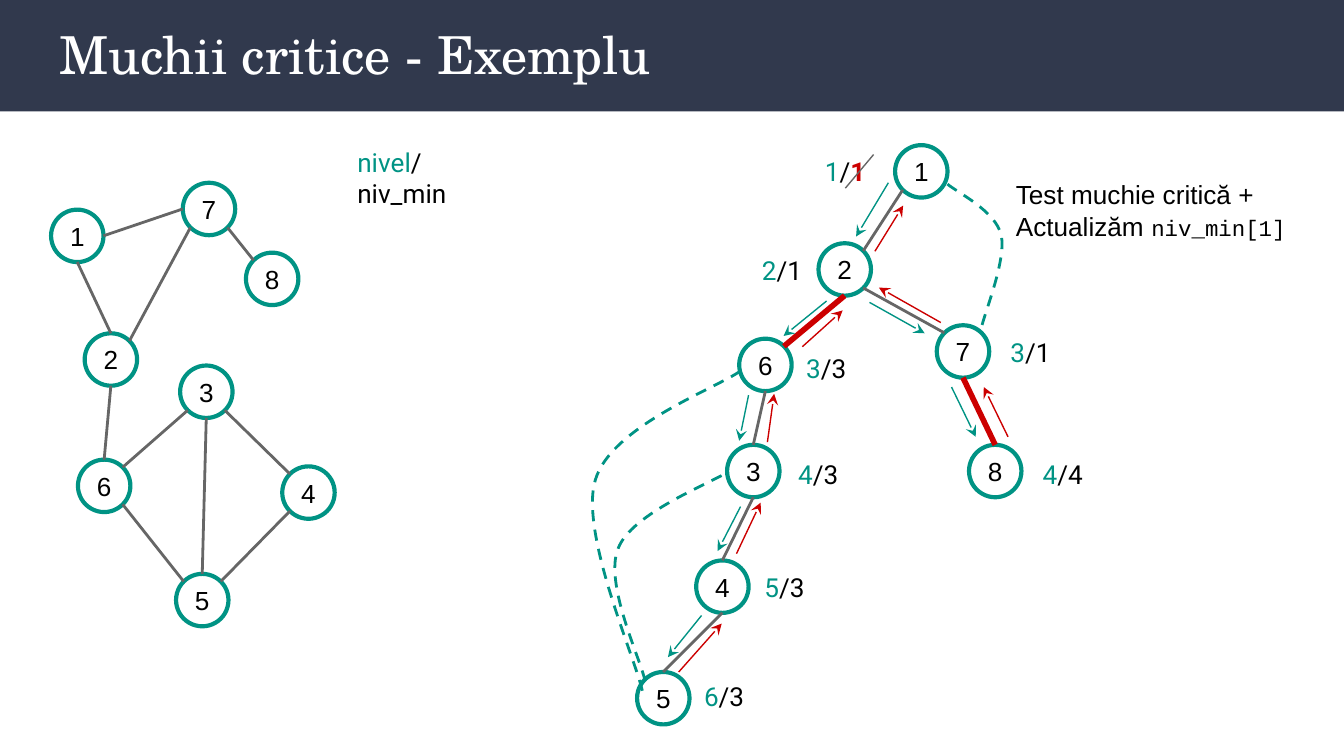
import math
from lxml import etree
from pptx import Presentation
from pptx import util as u
from pptx.dml.color import RGBColor
from pptx.enum import dml, shapes, text
from pptx.oxml.ns import qn

PX = 9144
NODE = 39
TOP, TOP_LEFT, LEFT, BOTTOM_LEFT, BOTTOM, BOTTOM_RIGHT, RIGHT, TOP_RIGHT = range(8)
COLORS = {"navy": "31394D", "teal": "009384", "gray": "666666",
          "red": "CC0000", "black": "000000", "white": "FFFFFF"}

GRAPH_NODES = {1: (0, 20), 2: (25, 112), 3: (96, 136), 4: (172, 211),
               5: (93, 291), 6: (20, 206), 7: (98, 0), 8: (145, 52)}
GRAPH_EDGES = [
    (1, BOTTOM, 2, TOP), (1, RIGHT, 7, LEFT), (3, BOTTOM_RIGHT, 4, TOP_LEFT),
    (2, BOTTOM, 6, TOP), (3, BOTTOM_LEFT, 6, TOP_RIGHT),
    (6, BOTTOM_RIGHT, 5, TOP_LEFT), (3, BOTTOM, 5, TOP),
    (4, BOTTOM_LEFT, 5, TOP_RIGHT), (7, BOTTOM_RIGHT, 8, TOP_LEFT),
    (7, BOTTOM_LEFT, 2, TOP_RIGHT)]

TREE_NODES = {1: (226, 8), 2: (169, 81), 6: (110, 152), 3: (101, 231),
              4: (78, 317), 5: (34, 400), 7: (257, 142), 8: (281, 231)}
TREE_EDGES = [
    (1, BOTTOM_LEFT, 2, TOP_RIGHT), (6, BOTTOM, 3, TOP), (3, BOTTOM, 4, TOP),
    (4, BOTTOM, 5, TOP), (2, BOTTOM_RIGHT, 7, TOP_LEFT)]
CRITICAL_EDGES = [(2, BOTTOM, 6, TOP_RIGHT), (7, BOTTOM, 8, TOP)]
LEVELS = [(117, 79, "2", "/1"), (150, 152, "3", "/3"), (144, 231, "4", "/3"),
          (119, 315, "5", "/3"), (74, 396, "6", "/3"), (302, 140, "3", "/1"),
          (326, 231, "4", "/4")]
DOWN_ARROWS = [(221, 36, 197, 76), (175, 124, 143, 150), (117, 194, 110, 228),
               (111, 277, 94, 310), (82, 358, 57, 389), (207, 125, 248, 148),
               (268, 188, 286, 225)]
UP_ARROWS = [(211, 87, 232, 53), (157, 158, 187, 131), (131, 229, 136, 193),
             (108, 312, 126, 274), (65, 400, 97, 364), (260, 140, 214, 114),
             (310, 225, 292, 188)]
BACK_EDGES = [
    [(40, 407), (37, 391), (9, 334), (20, 308), (30, 282), (88, 260), (102, 251)],
    [(38, 414), (32, 388), (-9, 296), (3, 257), (15, 217), (93, 189), (111, 176)],
    [(265, 37), (272, 43), (301, 57), (305, 75), (309, 94), (292, 134), (290, 145)]]


def rgb(name):
    """Return the named colour."""
    return RGBColor.from_string(COLORS[name])


def px(*lengths):
    """Turn px lengths into EMU."""
    return [round(length * PX) for length in lengths]


def add_run(paragraph, words, color="black", font="Roboto", size=14, bold=False):
    """Add one formatted run."""
    run = paragraph.add_run()
    run.text = words
    run.font.name, run.font.size, run.font.bold = font, u.Pt(size), bold
    run.font.color.rgb = rgb(color)


def set_margins(frame, margin):
    """Give a text frame the same margin on all sides."""
    frame.margin_left = frame.margin_right = frame.margin_top = frame.margin_bottom = margin * PX


def add_label(container, box, paragraphs):
    """Add a growing text box whose paragraphs are lists of run settings."""
    frame = container.add_textbox(*px(*box)).text_frame
    frame.word_wrap = True
    frame.auto_size = text.MSO_AUTO_SIZE.SHAPE_TO_FIT_TEXT
    set_margins(frame, 10)
    for index, runs in enumerate(paragraphs):
        paragraph = frame.add_paragraph() if index else frame.paragraphs[0]
        for settings in runs:
            add_run(paragraph, *settings)


def add_line(container, ends, color, width, arrow=False):
    """Add a straight line, with an arrowhead at its end if asked."""
    line = container.add_connector(shapes.MSO_CONNECTOR.STRAIGHT, *px(*ends))
    line.line.color.rgb = rgb(color)
    line.line.width = u.Pt(width)
    if arrow:
        outline = line._element.spPr.find(qn("a:ln"))
        etree.SubElement(outline, qn("a:tailEnd"), type="stealth")
    etree.SubElement(line._element.spPr, qn("a:effectLst"))
    return line


def add_node(container, x, y, number):
    """Add a numbered circle."""
    node = container.add_shape(shapes.MSO_SHAPE.OVAL, *px(x, y, NODE, NODE))
    node.shadow.inherit = False
    node.fill.background()
    node.line.color.rgb = rgb("teal")
    node.line.width = u.Pt(2.25)
    frame = node.text_frame
    frame.vertical_anchor = text.MSO_ANCHOR.MIDDLE
    set_margins(frame, 2)
    frame.paragraphs[0].alignment = text.PP_ALIGN.CENTER
    add_run(frame.paragraphs[0], str(number), font="Arial")
    return node


def add_edges(container, nodes, edges, color="gray", width=1.5):
    """Join circles at their connection sites, numbered counterclockwise from the top."""
    for start, start_site, end, end_site in edges:
        joints = [(nodes[start], start_site, "a:stCxn"), (nodes[end], end_site, "a:endCxn")]
        ends = []
        for node, site, _ in joints:
            angle = math.radians(45 * site)
            ends += [node.left / PX + NODE / 2 * (1 - math.sin(angle)),
                     node.top / PX + NODE / 2 * (1 - math.cos(angle))]
        edge = add_line(container, ends, color, width)
        properties = edge._element.nvCxnSpPr.cNvCxnSpPr
        for node, site, tag in joints:
            etree.SubElement(properties, qn(tag), id=str(node.shape_id), idx=str(site))


def add_back_edge(container, points):
    """Add a dashed curve through every third point, the others being its handles."""
    points = [px(*point) for point in points]
    builder = container.build_freeform(*points[0], scale=1.0)
    builder.add_line_segments(points[3::3], close=False)
    curve = builder.convert_to_shape()
    curve.shadow.inherit = False
    curve.fill.background()
    curve.line.color.rgb = rgb("teal")
    curve.line.width = u.Pt(1.5)
    curve.line.dash_style = dml.MSO_LINE.DASH
    left, top = curve.left, curve.top
    for index, segment in enumerate(list(curve._element.iter(qn("a:lnTo")))):
        bezier = etree.Element(qn("a:cubicBezTo"))
        for x, y in points[3 * index + 1:3 * index + 4]:
            etree.SubElement(bezier, qn("a:pt"), x=str(x - left), y=str(y - top))
        segment.getparent().replace(segment, bezier)


def add_header(slide, x, y, width, height):
    """Place the title on its dark band."""
    band = slide.shapes.add_shape(shapes.MSO_SHAPE.RECTANGLE, *px(x, y, width, height))
    band.shadow.inherit = False
    band.fill.solid()
    band.fill.fore_color.rgb = rgb("navy")
    band.line.fill.background()
    slide.shapes._spTree.insert(2, band._element)
    title = slide.shapes.title
    title.left, title.top, title.width, title.height = px(x + 34, y + 6, width - 68, 68)
    frame = title.text_frame
    frame.auto_size = text.MSO_AUTO_SIZE.NONE
    frame.vertical_anchor = text.MSO_ANCHOR.MIDDLE
    set_margins(frame, 10)
    frame.paragraphs[0].alignment = text.PP_ALIGN.LEFT
    add_run(frame.paragraphs[0], "Muchii critice - Exemplu", "white", "TeX Gyre Schola", 28)


def add_graph(slide, x, y):
    """Place the undirected graph as one group."""
    group = slide.shapes.add_group_shape().shapes
    nodes = {number: add_node(group, x + left, y + top, number)
             for number, (left, top) in GRAPH_NODES.items()}
    add_edges(group, nodes, GRAPH_EDGES)


def add_tree(slide, x, y):
    """Place the depth-first tree with its levels, arrows and back edges."""
    container = slide.shapes
    nodes = {number: add_node(container, x + left, y + top, number)
             for number, (left, top) in TREE_NODES.items()}
    add_edges(container, nodes, TREE_EDGES)
    add_edges(container, nodes, CRITICAL_EDGES, "red", 3)
    for points in BACK_EDGES:
        add_back_edge(container, [(x + left, y + top) for left, top in points])
    for color, arrows in (("teal", DOWN_ARROWS), ("red", UP_ARROWS)):
        for x1, y1, x2, y2 in arrows:
            add_line(container, (x + x1, y + y1, x + x2, y + y2), color, 0.75, True)
    for left, top, level, minimum in LEVELS:
        add_label(container, (x + left, y + top, 57, 44), [[(level, "teal"), (minimum,)]])
    add_label(container, (x + 164, y + 6, 57, 44),
              [[("1", "teal"), ("/",), ("1", "red", "Roboto", 14, True)]])
    add_line(container, (x + 210, y + 15, x + 189, y + 40), "gray", 0.75)


def main():
    """Build and save the slide."""
    presentation = Presentation()
    presentation.slide_width = 1000 * PX
    presentation.slide_height = presentation.slide_width * 9 // 16
    slide = presentation.slides.add_slide(presentation.slide_layouts[5])
    add_header(slide, 0, 0, 1000, 83)
    add_label(slide.shapes, (256, 99, 132, 44), [[("nivel", "teal"), ("/niv_min",)]])
    add_graph(slide, 38, 136)
    add_tree(slide, 440, 100)
    add_label(slide.shapes, (746, 123, 228, 67),
              [[("Test muchie critică +", "black", "Arial")],
               [("Actualizăm ", "black", "Arial"), ("niv_min[1]", "black", "Courier New", 12)]])
    presentation.save("out.pptx")


if __name__ == "__main__":
    main()
